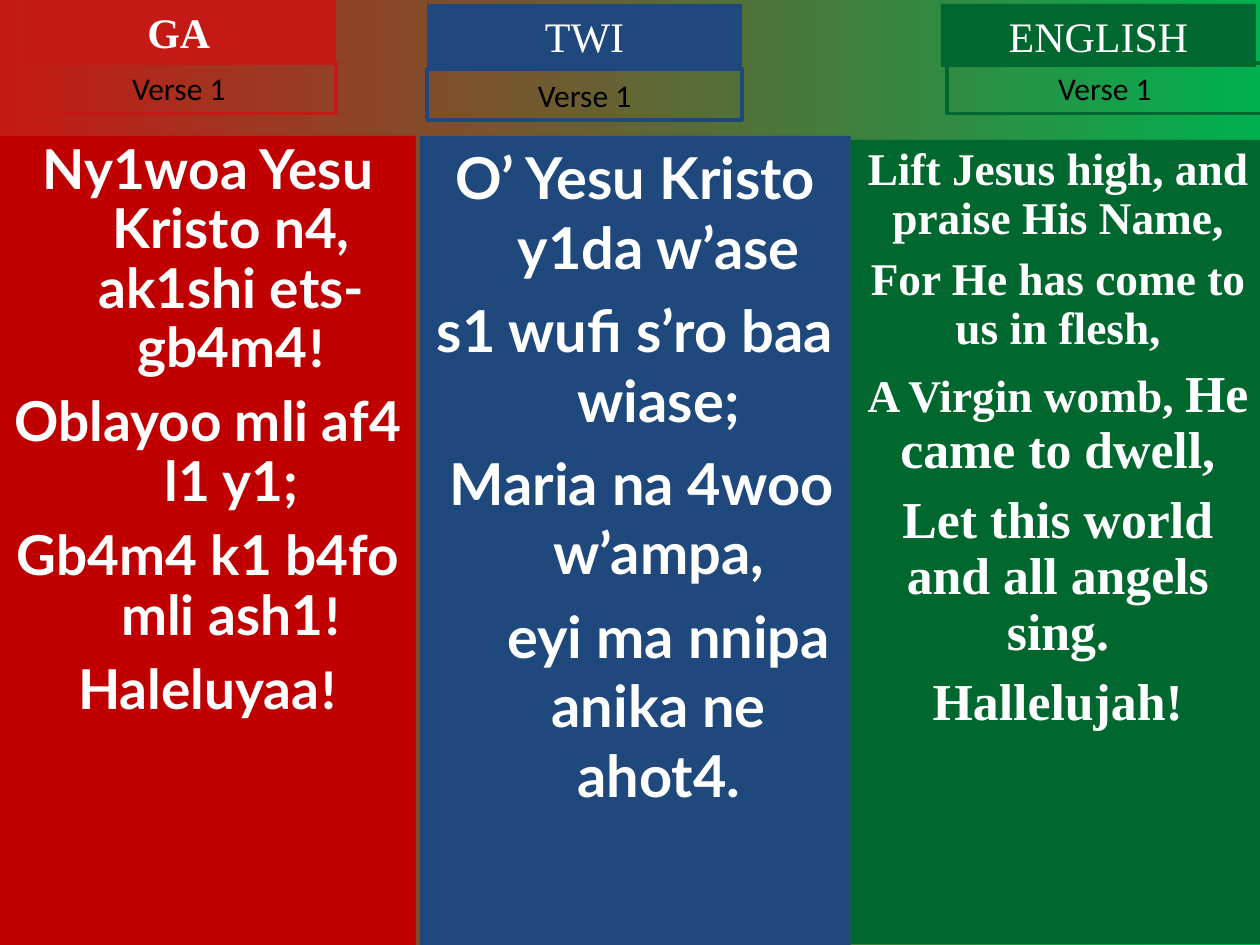
from pptx import Presentation
from pptx.dml.color import RGBColor
from pptx.enum.shapes import MSO_SHAPE
from pptx.enum.text import MSO_ANCHOR, MSO_AUTO_SIZE, PP_ALIGN
from pptx.util import Cm, Pt

LATO, CALIBRI, TIMES = "Lato", "Calibri", "Times New Roman"
WHITE, BLACK = "FFFFFF", "000000"
BACKGROUND = ("C51915", "00B050")
LABEL_W, TITLE_H, VERSE_H = 6.35, 1.27, 1.02
HANG = 0.95

COLUMNS = [
    {
        "title": "GA", "bold": True, "accent": "C51915", "fill": "C00000",
        "title_at": (0.43, 0), "verse_at": (0.43, 1.27),
        "panel": (0, 2.74, 8.38, 16.31), "margin": HANG, "spacing": 0.9,
        "lines": [
            (-HANG, 8.5, [("Ny1woa Yesu Kristo n4, ak1shi ets- gb4m4", LATO, 31.4),
                          ("!", CALIBRI, 31.4)]),
            (-HANG, 8.5, [("Oblayoo mli af4 l1 y1;", LATO, 31.4)]),
            (-HANG, 8.5, [("Gb4m4 k1 b4fo mli ash1", LATO, 31.4), ("!", CALIBRI, 31.4)]),
            (-HANG, 8.5, [("Haleluyaa", LATO, 31.4), ("!", CALIBRI, 31.4)]),
        ],
    },
    {
        "title": "TWI", "bold": False, "accent": "1F497D", "fill": "1F497D",
        "title_at": (8.61, 0.08), "verse_at": (8.61, 1.4),
        "panel": (8.46, 2.74, 8.69, 16.31), "margin": HANG, "spacing": 1.0,
        "lines": [
            (-HANG, 8.2, [("O’ Yesu Kristo y1da w’ase", LATO, 33)]),
            (-HANG, 8.2, [("s1 wufi s’ro baa wiase;", LATO, 33)]),
            (-0.69, 8.2, [("Maria na 4woo w’ampa,", LATO, 33)]),
            (0.41, 8.2, [("eyi ma nnipa anika ne ahot4.", LATO, 33)]),
        ],
    },
    {
        "title": "ENGLISH", "bold": False, "accent": "00682F", "fill": "00682F",
        "title_at": (18.97, 0.08), "verse_at": (19.1, 1.27),
        "panel": (17.15, 2.82, 8.36, 16.21), "margin": 0, "spacing": 0.9,
        "lines": [
            (0, 7, [("Lift Jesus high, and praise His Name,", TIMES, 25.9)]),
            (0, 7, [("For He has come to us in flesh,", TIMES, 25.9)]),
            (0, 8, [("A Virgin womb, ", TIMES, 25.9), ("He came to dwell,", TIMES, 29.6)]),
            (0, 8, [("Let this world and all angels sing.", TIMES, 29.6)]),
            (0, 8, [("Hallelujah!", TIMES, 29.6)]),
        ],
    },
]


def rgb(value):
    return RGBColor.from_string(value)


def add_box(s, left, top, width, height, fill=None, line=None):
    sp = s.shapes.add_shape(MSO_SHAPE.RECTANGLE, Cm(left), Cm(top), Cm(width), Cm(height))
    sp.shadow.inherit = False
    if fill:
        sp.fill.solid()
        sp.fill.fore_color.rgb = rgb(fill)
    else:
        sp.fill.background()
    if line:
        sp.line.color.rgb = rgb(line)
        sp.line.width = Pt(2.25)
    else:
        sp.line.fill.background()
    sp.text_frame.word_wrap = True
    sp.text_frame.vertical_anchor = MSO_ANCHOR.TOP
    return sp


def style(r, font, size, color, bold):
    r.font.name = font
    r.font.size = Pt(size)
    r.font.bold = bold
    r.font.color.rgb = rgb(color)


def add_label(sp, text, font, size, color, bold=False):
    tf = sp.text_frame
    tf.text = text
    tf.auto_size = MSO_AUTO_SIZE.SHAPE_TO_FIT_TEXT
    p = tf.paragraphs[0]
    p.alignment = PP_ALIGN.CENTER
    style(p.runs[0], font, size, color, bold)


def add_lyrics(sp, column):
    tf = sp.text_frame
    for i, (indent, before, runs) in enumerate(column["lines"]):
        p = tf.add_paragraph() if i else tf.paragraphs[0]
        p.alignment = PP_ALIGN.CENTER
        p.line_spacing = column["spacing"]
        if i:
            p.space_before = Pt(before)
        pPr = p._p.get_or_add_pPr()
        pPr.set("marL", str(Cm(column["margin"])))
        pPr.set("indent", str(Cm(indent)))
        for text, font, size in runs:
            r = p.add_run()
            r.text = text
            style(r, font, size, WHITE, True)


def main():
    prs = Presentation()
    prs.slide_width, prs.slide_height = Cm(25.4), Cm(19.05)
    s = prs.slides.add_slide(prs.slide_layouts[6])
    fill = s.background.fill
    fill.gradient()
    fill.gradient_angle = 0
    for stop, color, position in zip(fill.gradient_stops, BACKGROUND, (0, 1)):
        stop.color.rgb = rgb(color)
        stop.position = position

    for column in COLUMNS:
        add_lyrics(add_box(s, *column["panel"], fill=column["fill"]), column)
        title = add_box(s, *column["title_at"], LABEL_W, TITLE_H, fill=column["accent"])
        add_label(title, column["title"], TIMES, 24, WHITE, column["bold"])
        verse = add_box(s, *column["verse_at"], LABEL_W, VERSE_H, line=column["accent"])
        add_label(verse, "Verse 1", CALIBRI, 18, BLACK)

    prs.save("out.pptx")


if __name__ == "__main__":
    main()
